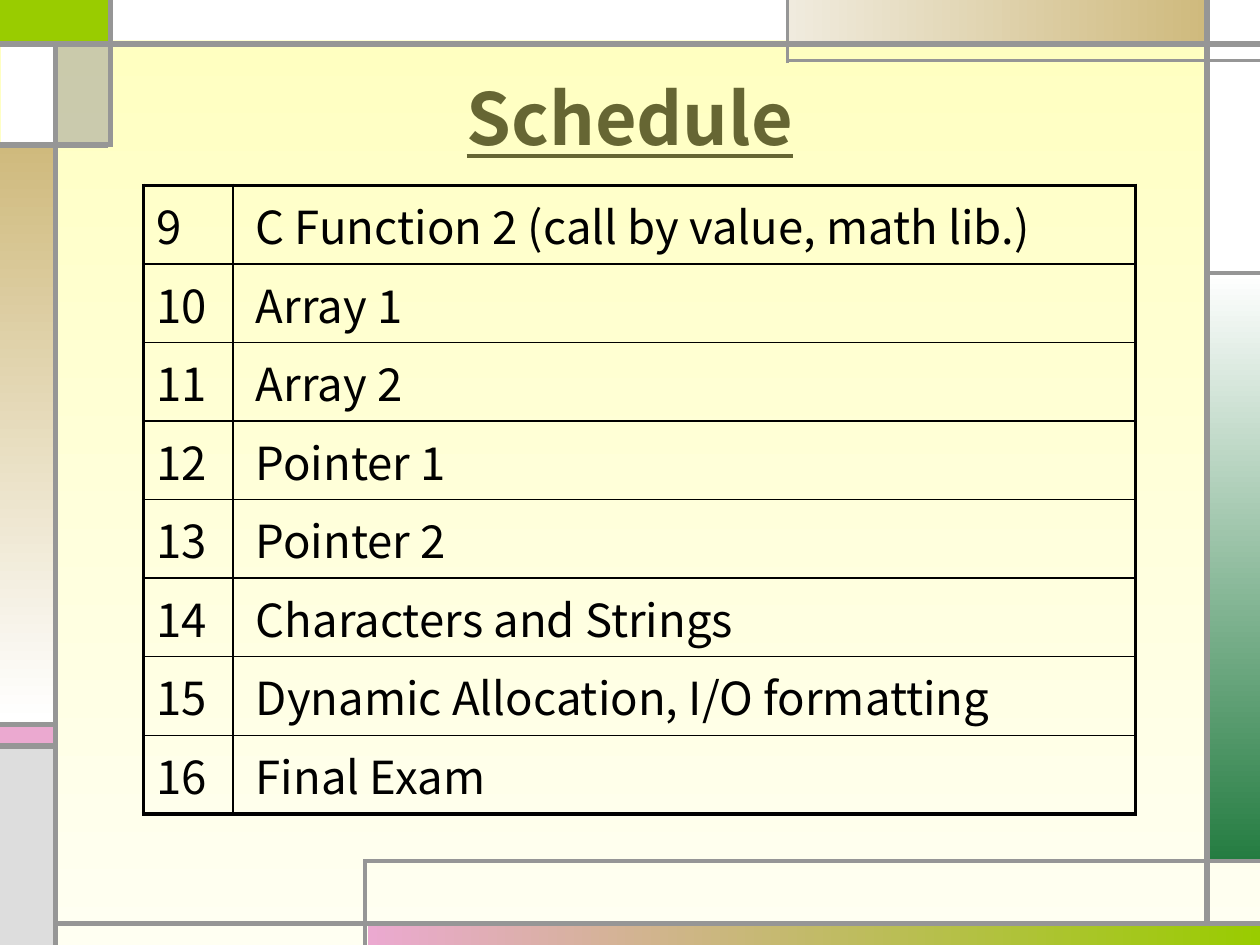
from lxml.etree import SubElement
from pptx import Presentation
from pptx.dml.color import RGBColor
from pptx.enum.shapes import MSO_CONNECTOR, MSO_SHAPE
from pptx.enum.text import MSO_ANCHOR, PP_ALIGN
from pptx.oxml.ns import qn
from pptx.util import Inches, Pt

FONT = "Noto Sans CJK KR"
GRAY = "969696"
RIGHTWARD, DOWNWARD = 0, 270
THICK, MEDIUM, THIN = 3, 2.25, 1

SCHEDULE = [
    ("9", "C Function 2 (call by value, math lib.)"),
    ("10", "Array 1"),
    ("11", "Array 2"),
    ("12", "Pointer 1"),
    ("13", "Pointer 2"),
    ("14", "Characters and Strings"),
    ("15", "Dynamic Allocation, I/O formatting"),
    ("16", "Final Exam"),
]

SOLID_PANELS = [
    (0, 0, 0.87, 0.34, "99CC00"),
    (0, 5.75, 0.42, 0.17, "EBA9D0"),
    (0, 5.93, 0.42, 1.57, "DDDDDD"),
    (9.58, 0, 0.42, 2.17, "FFFFFF"),
    (0.01, 0.33, 0.42, 0.82, "FFFFFF"),
    (0.86, 0, 5.39, 0.32, "FFFFFF"),
]

GRADIENT_PANELS = [
    (2.92, 7.33, 7.08, 0.17, "EBA9D0", "99CC00", RIGHTWARD),
    (9.58, 2.17, 0.42, 4.67, "FFFFFF", "247C41", DOWNWARD),
    (6.25, 0, 3.33, 0.33, "F0EBDE", "CFBA7D", RIGHTWARD),
    (0, 1.15, 0.42, 4.58, "CFBA7D", "FFFFFF", DOWNWARD),
]

GRID_LINES = [
    (0.44, 7.5, 0.44, 0.33, THICK),
    (0.44, 7.33, 10.01, 7.33, THICK),
    (9.58, 7.33, 9.58, 0, THICK),
    (0, 0.35, 10, 0.35, THICK),
    (10, 0.48, 6.25, 0.48, MEDIUM),
    (6.25, 0.5, 6.25, 0, MEDIUM),
    (9.58, 2.17, 10, 2.17, MEDIUM),
    (0.88, 0, 0.88, 1.17, THICK),
    (0.86, 1.15, 0, 1.15, THICK),
    (2.9, 7.5, 2.9, 6.82, MEDIUM),
    (2.89, 6.83, 10, 6.83, MEDIUM),
    (0.46, 5.75, 0, 5.75, THICK),
    (0.46, 5.92, 0, 5.92, THICK),
]


def color(value):
    return RGBColor.from_string(value)


def fill_solid(fill, value):
    fill.solid()
    fill.fore_color.rgb = color(value)


def fill_gradient(fill, start, end, angle):
    fill.gradient()
    fill.gradient_angle = angle
    for stop, value in zip(fill.gradient_stops, (start, end)):
        stop.color.rgb = color(value)


def add_panel(page, left, top, width, height):
    panel = page.shapes.add_shape(
        MSO_SHAPE.RECTANGLE, Inches(left), Inches(top), Inches(width), Inches(height)
    )
    panel.shadow.inherit = False
    panel.line.fill.background()
    return panel


def add_translucent_panel(page, left, top, width, height, value, percent):
    panel = add_panel(page, left, top, width, height)
    fill_solid(panel.fill, value)
    shade = panel.fill._xPr.find(qn("a:solidFill"))[0]
    SubElement(shade, qn("a:alpha"), val=str(percent * 1000))


def add_line(page, start_x, start_y, end_x, end_y, width):
    line = page.shapes.add_connector(
        MSO_CONNECTOR.STRAIGHT,
        Inches(start_x), Inches(start_y), Inches(end_x), Inches(end_y),
    )
    line.line.color.rgb = color(GRAY)
    line.line.width = Pt(width)
    SubElement(line._element.spPr, qn("a:effectLst"))


def style_font(font, size, value):
    font.name = FONT
    font.size = Pt(size)
    font.color.rgb = color(value)


def set_title(page, text):
    title = page.shapes.title
    title.left, title.top = Inches(0.5), Inches(0.3)
    title.width, title.height = Inches(9), Inches(1.25)
    title.text_frame.text = text
    title.text_frame.vertical_anchor = MSO_ANCHOR.MIDDLE
    paragraph = title.text_frame.paragraphs[0]
    paragraph.alignment = PP_ALIGN.CENTER
    style_font(paragraph.font, 41, "666633")
    paragraph.font.bold = True
    paragraph.font.underline = True


def set_borders(cell, widths):
    properties = cell._tc.get_or_add_tcPr()
    for side, width in widths.items():
        border = SubElement(properties, qn(f"a:ln{side}"), w=str(Pt(width)))
        solid = SubElement(border, qn("a:solidFill"))
        SubElement(solid, qn("a:srgbClr"), val="000000")


def add_schedule(page, entries):
    row_height = 0.62
    frame = page.shapes.add_table(
        len(entries), 2, Inches(1.14), Inches(1.47),
        Inches(7.87), Inches(row_height * len(entries)),
    )
    table = frame.table
    table.first_row = table.horz_banding = False
    for column, width in zip(table.columns, (0.71, 7.16)):
        column.width = Inches(width)
    last = len(entries) - 1
    for row, entry in enumerate(entries):
        for column, text in enumerate(entry):
            cell = table.cell(row, column)
            set_borders(cell, {
                "L": MEDIUM if column == 0 else THIN,
                "R": MEDIUM if column == 1 else THIN,
                "T": MEDIUM if row == 0 else THIN,
                "B": MEDIUM if row == last else THIN,
            })
            cell.fill.background()
            cell.margin_left = Inches((0.1, 0.18)[column])
            cell.text = text
            style_font(cell.text_frame.paragraphs[0].font, 26, "000000")


def main():
    deck = Presentation()
    deck.slide_width, deck.slide_height = Inches(10), Inches(7.5)
    page = deck.slides.add_slide(deck.slide_layouts[5])
    fill_gradient(page.background.fill, "FFFFBF", "FFFFF2", DOWNWARD)
    for *place, value in SOLID_PANELS:
        fill_solid(add_panel(page, *place).fill, value)
    for *place, start, end, angle in GRADIENT_PANELS:
        fill_gradient(add_panel(page, *place).fill, start, end, angle)
    add_translucent_panel(page, 0.46, 0.33, 0.42, 0.82, GRAY, 50)
    for line in GRID_LINES:
        add_line(page, *line)
    set_title(page, "Schedule")
    add_schedule(page, SCHEDULE)
    deck.save("out.pptx")


if __name__ == "__main__":
    main()
